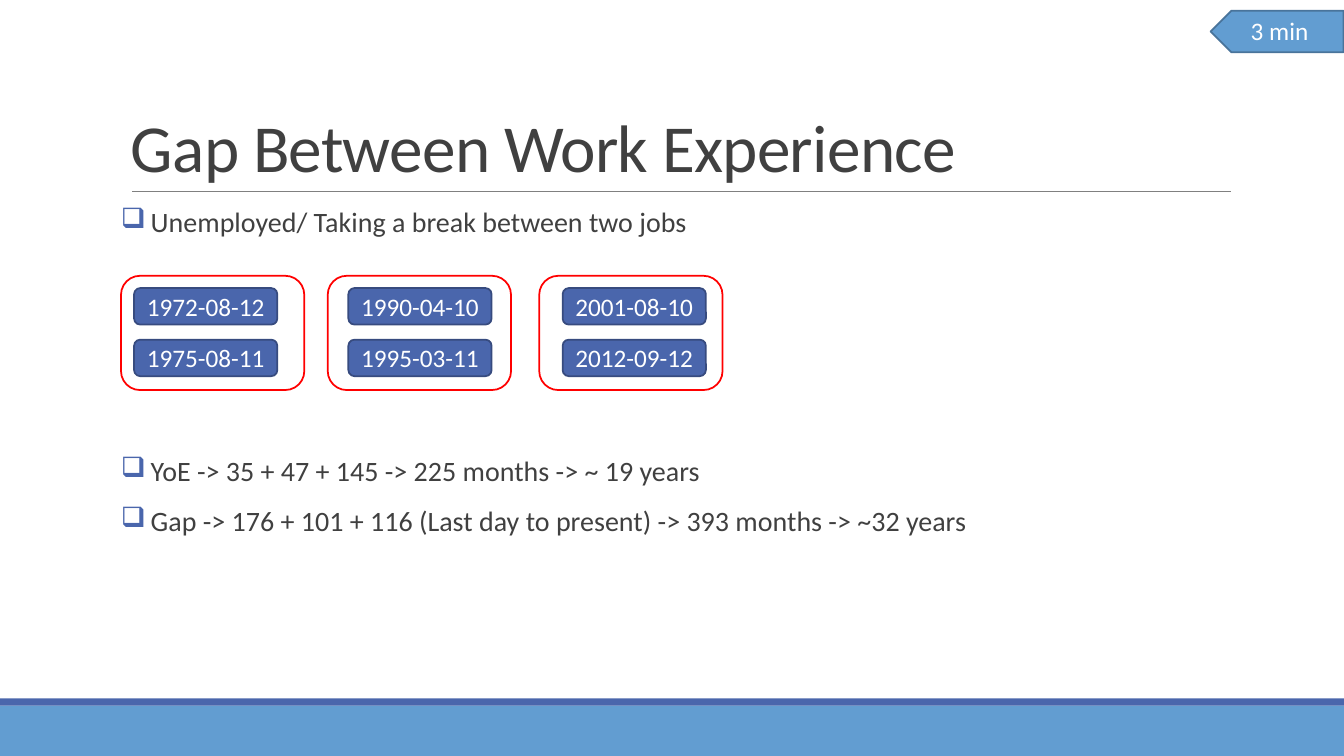
import pptx
import pptx.dml.color
import pptx.enum.shapes
import pptx.enum.text
import pptx.oxml
import pptx.oxml.ns
import pptx.util

Cm = pptx.util.Cm
Pt = pptx.util.Pt
RGBColor = pptx.dml.color.RGBColor
SHAPE = pptx.enum.shapes.MSO_SHAPE
ANCHOR = pptx.enum.text.MSO_ANCHOR
ALIGN = pptx.enum.text.PP_ALIGN

WHITE = RGBColor(0xFF, 0xFF, 0xFF)
INK = RGBColor(0x40, 0x40, 0x40)
GREY = RGBColor(0x80, 0x80, 0x80)
SKY = RGBColor(0x62, 0x9D, 0xD1)
SKY_EDGE = RGBColor(0x49, 0x74, 0x9B)
INDIGO = RGBColor(0x4A, 0x66, 0xAC)
INDIGO_EDGE = RGBColor(0x37, 0x4B, 0x7F)
RED = RGBColor(0xFF, 0x00, 0x00)

FONT = "Calibri"
SLIDE_WIDTH, SLIDE_HEIGHT = 33.87, 19.05

# Each job: start date, end date, left edge of its frame in cm
JOBS = [
    ("1972-08-12", "1975-08-11", 3.05),
    ("1990-04-10", "1995-03-11", 8.26),
    ("2001-08-10", "2012-09-12", 13.59),
]
# Each point: wording, space before in points (room for the dates above the second)
POINTS = [
    ("Unemployed/ Taking a break between two jobs", 12),
    ("YoE -> 35 + 47 + 145 -> 225 months -> ~ 19 years", 154),
    ("Gap -> 176 + 101 + 116 (Last day to present) -> 393 months -> ~32 years", 12),
]


def add_run(paragraph, wording, size, color):
    """Add one styled run and return it."""
    run = paragraph.add_run()
    run.text = wording
    run.font.name = FONT
    run.font.size = Pt(size)
    run.font.color.rgb = color
    return run


def add_block(slide, kind, left, top, width, height, fill=None, edge=None):
    """Add a flat preset shape, measured in cm."""
    block = slide.shapes.add_shape(kind, Cm(left), Cm(top), Cm(width), Cm(height))
    block.shadow.inherit = False
    if fill is None:
        block.fill.background()
    else:
        block.fill.solid()
        block.fill.fore_color.rgb = fill
    if edge is None:
        block.line.fill.background()
    else:
        block.line.color.rgb = edge
        block.line.width = Pt(1.25)
    return block


def add_text_frame(slide, left, top, width, height, anchor=ANCHOR.TOP):
    """Add a wrapping text box, measured in cm, and return its text frame."""
    box = slide.shapes.add_textbox(Cm(left), Cm(top), Cm(width), Cm(height))
    frame = box.text_frame
    frame.word_wrap = True
    frame.vertical_anchor = anchor
    return frame


def add_rule(slide, left, right, y):
    """Add the thin horizontal line under the title."""
    rule = slide.shapes.add_connector(
        pptx.enum.shapes.MSO_CONNECTOR.STRAIGHT, Cm(left), Cm(y), Cm(right), Cm(y))
    rule.line.color.rgb = GREY
    rule.line.width = Pt(0.5)
    properties = rule._element.spPr
    properties.append(properties.makeelement(pptx.oxml.ns.qn("a:effectLst"), {}))


def add_title(slide, wording):
    """Add the bottom-anchored title with slightly tightened letters."""
    paragraph = add_text_frame(slide, 3.05, 0.79, 27.94, 4.04, ANCHOR.BOTTOM).paragraphs[0]
    paragraph.line_spacing = 0.85
    run = add_run(paragraph, wording, 48, INK)
    run.font._element.set("spc", "-50")


def set_bullet(paragraph, character, color, indent):
    """Give a paragraph a coloured bullet and a hanging indent in cm."""
    properties = paragraph._p.get_or_add_pPr()
    properties.set("marL", str(Cm(indent)))
    properties.set("indent", str(-Cm(indent)))
    namespace = pptx.oxml.ns.nsdecls("a")
    for markup in (
        f'<a:buClr {namespace}><a:srgbClr val="{color}"/></a:buClr>',
        f'<a:buChar {namespace} char="{character}"/>',
    ):
        properties.append(pptx.oxml.parse_xml(markup))


def add_points(slide, points):
    """Add the bulleted points in one text box."""
    frame = add_text_frame(slide, 3.05, 5.13, 27.94, 11.18)
    frame.margin_left = frame.margin_right = 0
    for index, (wording, space_before) in enumerate(points):
        paragraph = frame.add_paragraph() if index else frame.paragraphs[0]
        paragraph.line_spacing = 0.9
        paragraph.space_before = Pt(space_before)
        paragraph.space_after = Pt(2)
        set_bullet(paragraph, "\u2751", INDIGO, 0.75)
        add_run(paragraph, wording, 20, INK)


def add_date(slide, wording, left, top):
    """Add one rounded date label."""
    label = add_block(slide, SHAPE.ROUNDED_RECTANGLE, left, top, 3.61, 0.92,
                      INDIGO, INDIGO_EDGE)
    label.text_frame.vertical_anchor = ANCHOR.MIDDLE
    paragraph = label.text_frame.paragraphs[0]
    paragraph.alignment = ALIGN.CENTER
    add_run(paragraph, wording, 18, WHITE)


def add_jobs(slide, jobs):
    """Add the start and end date of each job inside a red frame."""
    for column, (start, end, frame_left) in enumerate(jobs):
        for row, date in enumerate((start, end)):
            add_date(slide, date, 3.38 + 5.4 * column, 7.26 + 1.3 * row)
        add_block(slide, SHAPE.ROUNDED_RECTANGLE, frame_left, 6.95, 4.62, 2.88, edge=RED)


def add_time_tag(slide, wording):
    """Add the left-pointing time tag at the top right edge."""
    tag = add_block(slide, SHAPE.PENTAGON, 30.51, 0.27, 3.35, 1.05, SKY, SKY_EDGE)
    tag._element.spPr.xfrm.set("flipH", "1")
    frame = add_text_frame(slide, 31.27, 0.27, 2.6, 1.03)
    add_run(frame.paragraphs[0], wording, 18, WHITE)


def main():
    """Build and save the slide."""
    deck = pptx.Presentation()
    deck.slide_width = Cm(SLIDE_WIDTH)
    deck.slide_height = Cm(SLIDE_HEIGHT)
    slide = deck.slides.add_slide(deck.slide_layouts[6])

    add_block(slide, SHAPE.RECTANGLE, 0, 17.78, SLIDE_WIDTH, 1.27, SKY)
    add_block(slide, SHAPE.RECTANGLE, 0, 17.6, SLIDE_WIDTH, 0.18, INDIGO)
    add_rule(slide, 3.33, 31.01, 4.83)
    add_title(slide, "Gap Between Work Experience")
    add_points(slide, POINTS)
    add_jobs(slide, JOBS)
    add_time_tag(slide, "3 min")

    deck.save("out.pptx")


main()
